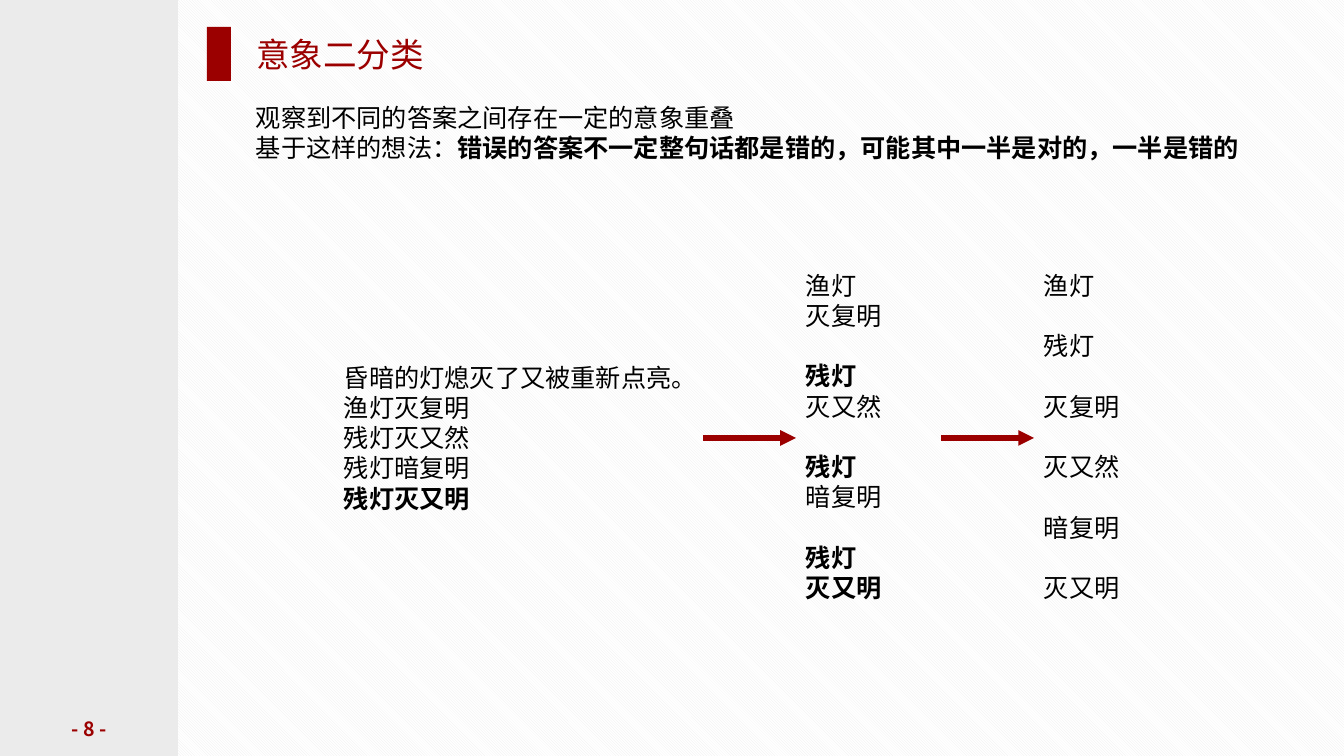
from lxml.etree import SubElement
from pptx import Presentation
from pptx.dml.color import RGBColor
from pptx.enum.dml import MSO_PATTERN
from pptx.enum.shapes import MSO_CONNECTOR, MSO_SHAPE
from pptx.enum.text import MSO_ANCHOR, MSO_AUTO_SIZE, PP_ALIGN
from pptx.oxml.ns import qn
from pptx.util import Pt

TITLE = "意象二分类"
PAGE = "- 8 -"
# A column is a list of groups, a group is a list of lines, a line is a list of (text, bold).
INTRO = [[
    [("观察到不同的答案之间存在一定的意象重叠", False)],
    [("基于这样的想法：", False),
     ("错误的答案不一定整句话都是错的，可能其中一半是对的，一半是错的", True)],
]]
LINES = [[
    [("昏暗的灯熄灭了又被重新点亮。", False)],
    [("渔灯灭复明", False)],
    [("残灯灭又然", False)],
    [("残灯暗复明", False)],
    [("残灯灭又明", True)],
]]
PAIRS = [
    [[("渔灯", False)], [("灭复明", False)]],
    [[("残灯", True)], [("灭又然", False)]],
    [[("残灯", True)], [("暗复明", False)]],
    [[("残灯", True)], [("灭又明", True)]],
]
PARTS = [[[(word, False)]] for word in
         ("渔灯", "残灯", "灭复明", "灭又然", "暗复明", "灭又明")]

# Boxes are left, top, width, height in px.
WIDE, HIGH = 1344, 756
SIDE = (0, 0, 178, HIGH)
MARK = (207, 27, 24, 54)
HEAD = (246, 27, 1062, 54)
FOOT = (32, 716, 115, 25)
MIDDLE = 438
ARROW = 93
COLUMNS = [
    (INTRO, (246, 97, 1023, 72)),
    (LINES, (334, 357, 369, 163)),
    (PAIRS, (796, 265, 146, 346)),
    (PARTS, (1034, 265, 146, 346)),
]
STARTS = [703, 941]


class Theme:
    red = RGBColor(0x9B, 0, 0)
    gray = RGBColor(0xEB, 0xEB, 0xEB)
    white = RGBColor(0xFF, 0xFF, 0xFF)
    black = RGBColor(0, 0, 0)
    sans = "Noto Sans CJK SC"
    latin = "Arial"
    head = {"size": Pt(24), "name": sans, "bold": False}
    body = {"size": Pt(18), "name": latin}
    foot = {"size": Pt(14), "name": sans, "bold": True}
    gap = Pt(21.6)


def px(count):
    return round(count * 914400 / 100.8)


def place(shape, box):
    for name, value in zip(("left", "top", "width", "height"), box):
        setattr(shape, name, px(value))


def write(para, text, color, form):
    run = para.add_run()
    run.text = text
    for name, value in form.items():
        setattr(run.font, name, value)
    run.font.color.rgb = color
    SubElement(run.font._element, qn("a:ea"), typeface=Theme.sans)


def add_text(slide, box):
    frame = slide.shapes.add_textbox(*map(px, box)).text_frame
    frame.word_wrap = True
    return frame


def add_column(slide, groups, box):
    """Stack the groups of lines, with one line of space between groups."""
    frame = add_text(slide, box)
    for g, group in enumerate(groups):
        for n, line in enumerate(group):
            para = frame.add_paragraph() if g or n else frame.paragraphs[0]
            if g and not n:
                para.space_before = Theme.gap
            for text, bold in line:
                write(para, text, Theme.black, {**Theme.body, "bold": bold})


def add_block(slide, box, color):
    block = slide.shapes.add_shape(MSO_SHAPE.RECTANGLE, *map(px, box))
    block.shadow.inherit = False
    block.fill.solid()
    block.fill.fore_color.rgb = color
    block.line.fill.background()


def add_arrow(slide, left):
    ends = map(px, (left, MIDDLE, left + ARROW, MIDDLE))
    arrow = slide.shapes.add_connector(MSO_CONNECTOR.STRAIGHT, *ends)
    arrow.line.color.rgb = Theme.red
    arrow.line.width = Pt(3.75)
    SubElement(arrow.line._get_or_add_ln(), qn("a:tailEnd"), type="triangle")
    SubElement(arrow._element.spPr, qn("a:effectLst"))


def add_title(slide):
    title = slide.shapes.title
    place(title, HEAD)
    frame = title.text_frame
    form = {"margin_left": px(10), "margin_right": 0, "margin_top": 0,
            "margin_bottom": 0, "word_wrap": True,
            "auto_size": MSO_AUTO_SIZE.NONE,
            "vertical_anchor": MSO_ANCHOR.MIDDLE}
    for name, value in form.items():
        setattr(frame, name, value)
    para = frame.paragraphs[0]
    para.alignment = PP_ALIGN.LEFT
    write(para, TITLE, Theme.red, Theme.head)


def add_page(slide):
    frame = add_text(slide, FOOT)
    frame.vertical_anchor = MSO_ANCHOR.MIDDLE
    para = frame.paragraphs[0]
    para.alignment = PP_ALIGN.CENTER
    write(para, PAGE, Theme.red, Theme.foot)


def main():
    deck = Presentation()
    deck.slide_width, deck.slide_height = px(WIDE), px(HIGH)
    slide = deck.slides.add_slide(deck.slide_layouts[5])
    fill = slide.background.fill
    fill.patterned()
    fill.pattern = MSO_PATTERN.DARK_DOWNWARD_DIAGONAL
    fill.fore_color.rgb = Theme.gray
    fill.back_color.rgb = Theme.white

    add_block(slide, SIDE, Theme.gray)
    add_block(slide, MARK, Theme.red)
    add_title(slide)
    add_page(slide)
    for groups, box in COLUMNS:
        add_column(slide, groups, box)
    for left in STARTS:
        add_arrow(slide, left)
    deck.save("out.pptx")


if __name__ == "__main__":
    main()
